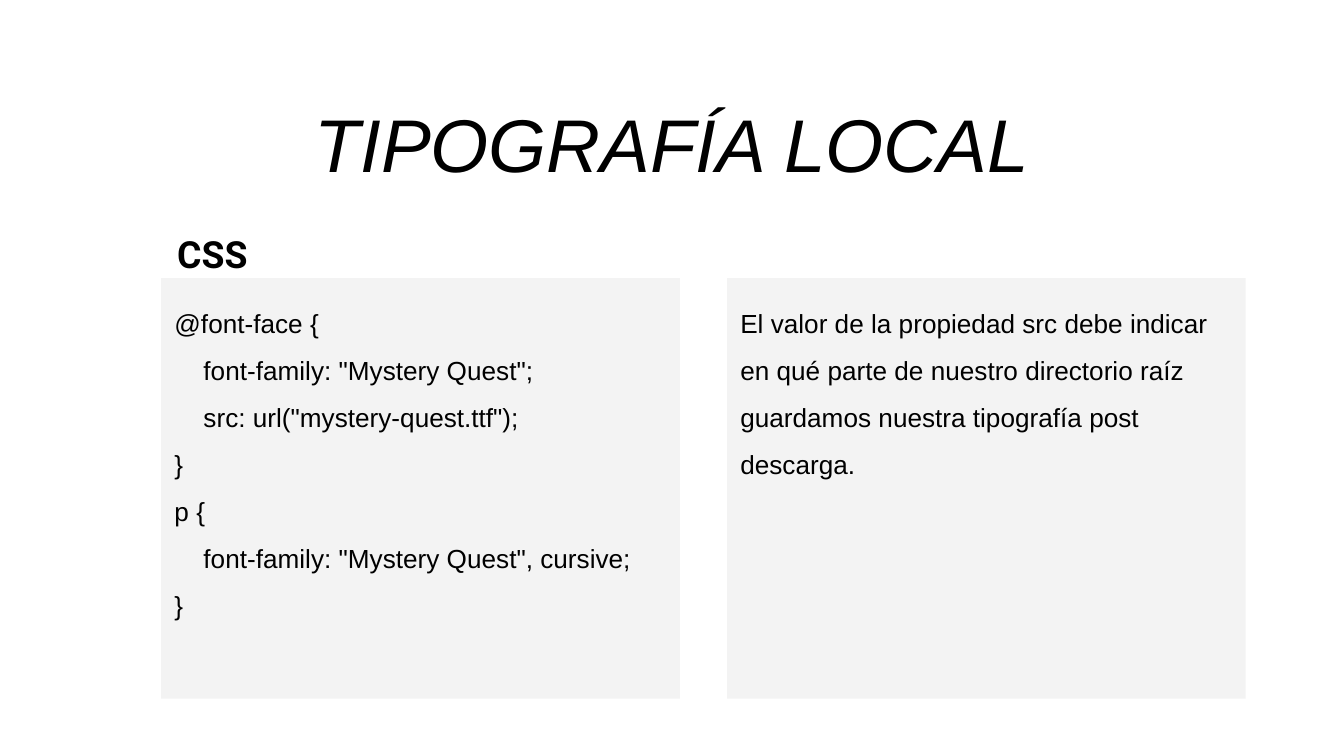
import pptx
import pptx.util
import pptx.dml.color
import pptx.enum.shapes
import pptx.enum.text

Inches = pptx.util.Inches
COLORS = {"text": "000000", "panel": "F3F3F3"}
CODE = [
    "@font-face {",
    '    font-family: "Mystery Quest";',
    '    src: url("mystery-quest.ttf");',
    "}",
    "p {",
    '    font-family: "Mystery Quest", cursive;',
    "}",
]
NOTE = [
    "El valor de la propiedad src debe indicar en qué parte de nuestro "
    "directorio raíz guardamos nuestra tipografía post descarga."
]


def color(name):
    return pptx.dml.color.RGBColor.from_string(COLORS[name])


def write(shape, lines, size, face="Arial", bold=False, italic=False,
          space=1.0, align=pptx.enum.text.PP_ALIGN.LEFT):
    """Fill the shape with one paragraph per line, set from the top."""
    frame = shape.text_frame
    frame.word_wrap = True
    frame.auto_size = pptx.enum.text.MSO_AUTO_SIZE.NONE
    frame.vertical_anchor = pptx.enum.text.MSO_ANCHOR.TOP
    frame.margin_left = frame.margin_right = Inches(0.1)
    frame.margin_top = frame.margin_bottom = Inches(0.1)
    frame.text = "\n".join(lines)
    for para in frame.paragraphs:
        para.alignment = align
        para.line_spacing = space
        font = para.font
        font.name, font.size = face, pptx.util.Pt(size)
        font.bold, font.italic = bold, italic
        font.color.rgb = color("text")


def add_title(slide, text):
    title = slide.shapes.title
    title.left, title.top = Inches(1.59), Inches(0.53)
    title.width, title.height = Inches(6.82), Inches(0.76)
    write(title, [text], 40, italic=True, space=1.15,
          align=pptx.enum.text.PP_ALIGN.CENTER)
    title.text_frame.paragraphs[0].space_after = pptx.util.Pt(3)


def add_label(slide, text):
    label = slide.shapes.add_textbox(
        Inches(1.22), Inches(1.62), Inches(1.24), Inches(0.49))
    write(label, [text], 20, face="Roboto", bold=True)


def add_panel(slide, left, lines):
    panel = slide.shapes.add_shape(
        pptx.enum.shapes.MSO_SHAPE.RECTANGLE,
        Inches(left), Inches(2.07), Inches(3.86), Inches(3.13))
    panel.shadow.inherit = False
    panel.fill.solid()
    panel.fill.fore_color.rgb = color("panel")
    panel.line.fill.background()
    write(panel, lines, 14, space=1.5)


def main():
    deck = pptx.Presentation()
    deck.slide_width = Inches(10)
    deck.slide_height = deck.slide_width * 9 // 16
    slide = deck.slides.add_slide(deck.slide_layouts[5])
    add_title(slide, "TIPOGRAFÍA LOCAL")
    add_panel(slide, 1.2, CODE)
    add_label(slide, "CSS")
    add_panel(slide, 5.41, NOTE)
    deck.save("out.pptx")


if __name__ == "__main__":
    main()
